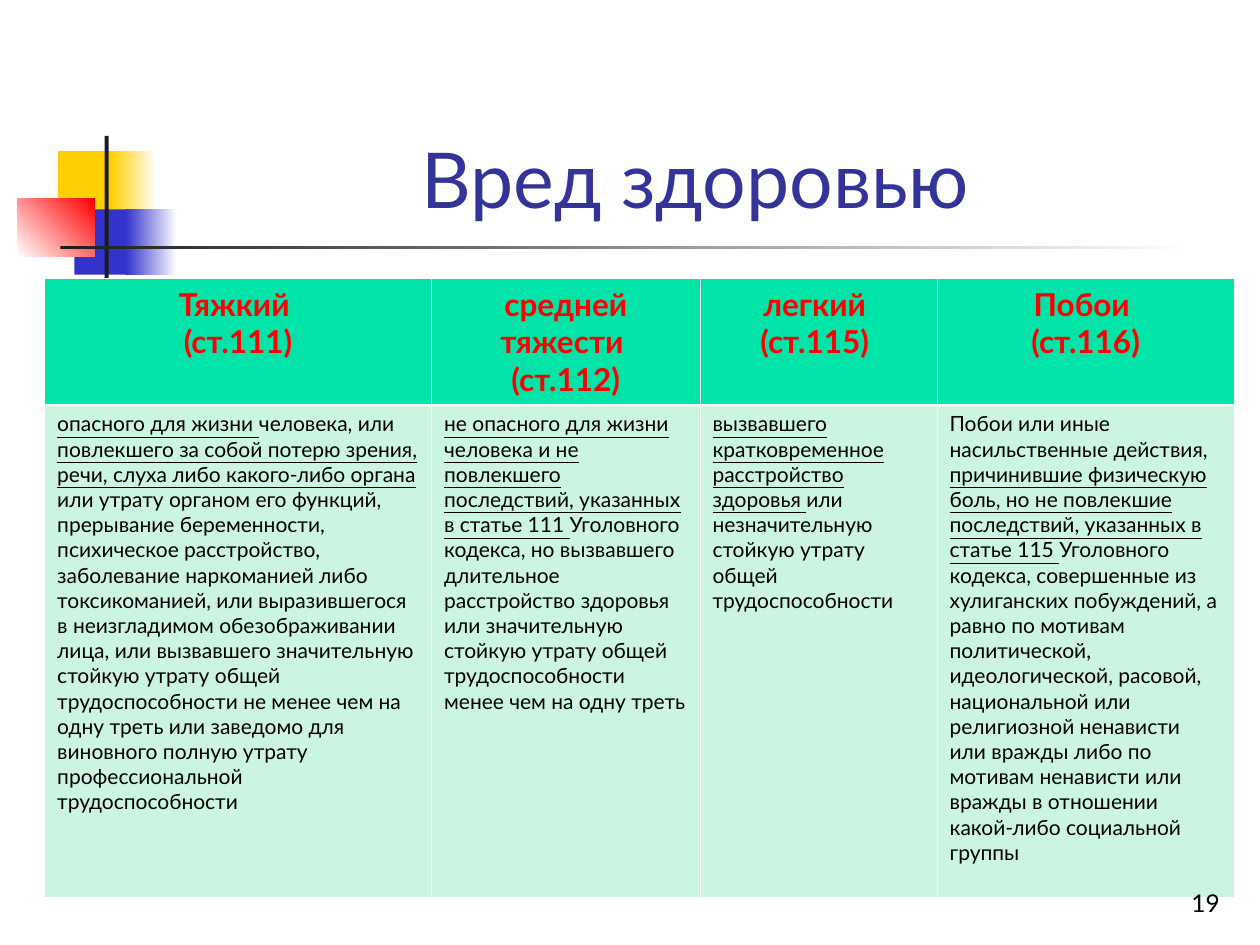
from lxml import etree
from pptx import Presentation
from pptx.dml.color import RGBColor
from pptx.enum.shapes import MSO_SHAPE
from pptx.enum.text import MSO_ANCHOR, PP_ALIGN
from pptx.oxml.ns import qn
from pptx.util import Cm, Pt

RECTANGLE = MSO_SHAPE.RECTANGLE
BOTTOM = MSO_ANCHOR.BOTTOM
LEFT, CENTER, RIGHT = PP_ALIGN.LEFT, PP_ALIGN.CENTER, PP_ALIGN.RIGHT

WHITE = RGBColor(0xFF, 0xFF, 0xFF)
BLACK = RGBColor(0x00, 0x00, 0x00)
YELLOW = RGBColor(0xFF, 0xCF, 0x01)
BLUE = RGBColor(0x33, 0x33, 0xCC)
RED = RGBColor(0xFF, 0x00, 0x00)
CHARCOAL = RGBColor(0x1C, 0x1C, 0x1C)
INDIGO = RGBColor(0x33, 0x33, 0x99)
GREEN = RGBColor(0x00, 0xE4, 0xA8)
MINT = RGBColor(0xCB, 0xF5, 0xE1)

FONT = "Lato"
THIN, THICK = Pt(0.45), Pt(1.47)

DECORATIONS = [
    (1.17, 3.05, 1.22, 1.32, [YELLOW], 0),
    (2.24, 3.05, 0.91, 1.32, [YELLOW, WHITE], 0),
    (1.5, 4.22, 1.17, 1.32, [BLUE], 0),
    (2.54, 4.22, 1.02, 1.32, [BLUE, WHITE], 0),
    (0.36, 4.01, 1.55, 1.17, [WHITE, RED], 45),
    (2.11, 2.74, 0.08, 2.92, [CHARCOAL], 0),
    (1.22, 4.95, 22.86, 0.08, [CHARCOAL, WHITE], 0),
]

COLUMN_WIDTHS = [7.8, 5.41, 4.78, 5.99]
ROW_HEIGHTS = [2.54, 9.93]

HEADINGS = [
    ["Тяжкий ", "(ст.111)"],
    ["средней тяжести ", "(ст.112)"],
    ["легкий ", "(ст.115) "],
    ["Побои ", "(ст.116)"],
]

DEFINITIONS = [
    [
        ("опасного для жизни ", True),
        ("человека, или ", False),
        ("повлекшего за собой потерю зрения, речи, слуха либо "
         "какого-либо органа ", True),
        ("или утрату органом его функций, прерывание беременности, "
         "психическое расстройство, заболевание наркоманией либо "
         "токсикоманией, или выразившегося в неизгладимом обезображивании "
         "лица, или вызвавшего значительную стойкую утрату общей "
         "трудоспособности не менее чем на одну треть или заведомо для "
         "виновного полную утрату профессиональной трудоспособности", False),
    ],
    [
        ("не опасного для жизни человека и не повлекшего последствий, "
         "указанных в статье 111 ", True),
        ("Уголовного кодекса, но вызвавшего длительное расстройство здоровья "
         "или значительную стойкую утрату общей трудоспособности менее чем "
         "на одну треть", False),
    ],
    [
        ("вызвавшего кратковременное расстройство здоровья ", True),
        ("или незначительную стойкую утрату общей трудоспособности", False),
    ],
    [
        ("Побои или иные насильственные действия, ", False),
        ("причинившие физическую боль, но не повлекшие последствий, "
         "указанных в статье 115 ", True),
        ("Уголовного кодекса, совершенные из хулиганских побуждений, а равно "
         "по мотивам политической, идеологической, расовой, национальной или "
         "религиозной ненависти или вражды либо по мотивам ненависти или "
         "вражды в отношении какой-либо социальной группы", False),
    ],
]


def add_span(para, text, size, color, bold=False, underline=False):
    span = para.add_run()
    span.text = text
    span.font.name = FONT
    span.font.size = Pt(size)
    span.font.color.rgb = color
    span.font.bold = bold
    span.font.underline = underline


def add_rectangle(page, left, top, width, height, colors, angle):
    box = page.shapes.add_shape(
        RECTANGLE, Cm(left), Cm(top), Cm(width), Cm(height))
    box.shadow.inherit = False
    box.line.fill.background()
    if len(colors) == 1:
        box.fill.solid()
        box.fill.fore_color.rgb = colors[0]
        return
    box.fill.gradient()
    box.fill.gradient_angle = angle
    for stop, color in zip(box.fill.gradient_stops, colors):
        stop.color.rgb = color


def add_label(page, left, top, width, height, text, size, color, align):
    box = page.shapes.add_textbox(Cm(left), Cm(top), Cm(width), Cm(height))
    frame = box.text_frame
    frame.word_wrap = True
    frame.vertical_anchor = BOTTOM
    para = frame.paragraphs[0]
    para.alignment = align
    add_span(para, text, size, color)


def style_cell(cell, color, top, bottom):
    properties = cell._tc.get_or_add_tcPr()
    edges = {"a:lnL": THIN, "a:lnR": THIN, "a:lnT": top, "a:lnB": bottom}
    for tag, width in edges.items():
        line = etree.SubElement(properties, qn(tag), w=str(width))
        fill = etree.SubElement(line, qn("a:solidFill"))
        etree.SubElement(fill, qn("a:srgbClr"), val=str(WHITE))
    cell.fill.solid()
    cell.fill.fore_color.rgb = color


def fill_heading(cell, lines):
    style_cell(cell, GREEN, THIN, THICK)
    frame = cell.text_frame
    for index, text in enumerate(lines):
        para = frame.add_paragraph() if index else frame.paragraphs[0]
        para.alignment = CENTER
        add_span(para, text, 18, RED, bold=True)


def fill_definition(cell, spans):
    style_cell(cell, MINT, THICK, THIN)
    para = cell.text_frame.paragraphs[0]
    para.alignment = LEFT
    for text, underline in spans:
        add_span(para, text, 12, BLACK, underline=underline)


def add_harm_table(page):
    table = page.shapes.add_table(
        len(ROW_HEIGHTS), len(COLUMN_WIDTHS), Cm(0.9), Cm(5.62),
        Cm(sum(COLUMN_WIDTHS)), Cm(sum(ROW_HEIGHTS))).table
    table.first_row = False
    table.horz_banding = False
    for column, width in zip(table.columns, COLUMN_WIDTHS):
        column.width = Cm(width)
    for row, height in zip(table.rows, ROW_HEIGHTS):
        row.height = Cm(height)
    for index, (lines, spans) in enumerate(zip(HEADINGS, DEFINITIONS)):
        fill_heading(table.cell(0, index), lines)
        fill_definition(table.cell(1, index), spans)


def main():
    deck = Presentation()
    deck.slide_width, deck.slide_height = Cm(25.4), Cm(19.05)
    page = deck.slides.add_slide(deck.slide_layouts[6])
    for decoration in DECORATIONS:
        add_rectangle(page, *decoration)
    add_label(page, 3.2, 0.58, 21.64, 4.06, "Вред здоровью", 44, INDIGO, CENTER)
    add_harm_table(page)
    add_label(page, 19.56, 17.35, 5.28, 1.27, "19", 14, BLACK, RIGHT)
    deck.save("out.pptx")


if __name__ == "__main__":
    main()
